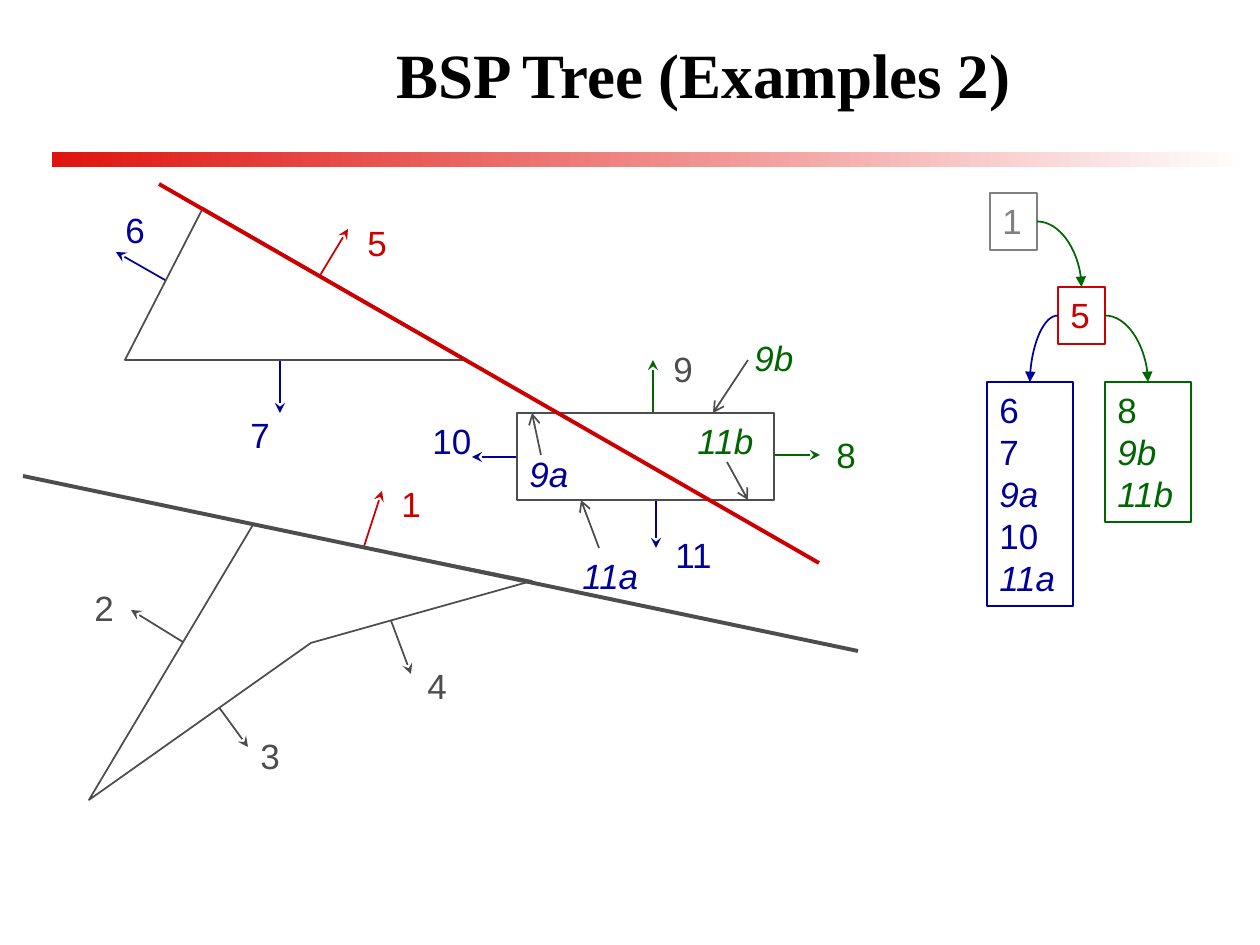
import pptx
import pptx.dml.color
import pptx.enum.shapes
import pptx.enum.text
import pptx.oxml
import pptx.oxml.ns
import pptx.util

RGBColor = pptx.dml.color.RGBColor
RED = RGBColor(0xCC, 0x00, 0x00)
BLUE = RGBColor(0x00, 0x00, 0x99)
GREEN = RGBColor(0x00, 0x66, 0x00)
DARK = RGBColor(0x4D, 0x4D, 0x4D)
GREY = RGBColor(0x80, 0x80, 0x80)
BAR_RED = RGBColor(0xDF, 0x14, 0x0F)
WHITE = RGBColor(0xFF, 0xFF, 0xFF)
BLACK = RGBColor(0x00, 0x00, 0x00)

CONNECTOR = pptx.enum.shapes.MSO_CONNECTOR
RECTANGLE = pptx.enum.shapes.MSO_SHAPE.RECTANGLE
ALIGN = pptx.enum.text.PP_ALIGN
SCALE = 914400 / 126  # EMU per px


def px(*lengths):
    return [round(length * SCALE) for length in lengths]


def draw_line(start, end, color, weight=1, arrow=None, kind=CONNECTOR.STRAIGHT):
    line = shapes.add_connector(kind, *px(*start, *end))
    line.line.color.rgb = color
    line.line.width = pptx.util.Pt(weight)
    if arrow:
        tail = pptx.oxml.ns.qn("a:tailEnd")
        line.line._get_or_add_ln().append(pptx.oxml.xmlchemy.OxmlElement("a:tailEnd"))
        line.line._get_or_add_ln().find(tail).set("type", arrow)
    line._element.spPr.append(pptx.oxml.xmlchemy.OxmlElement("a:effectLst"))
    return line


deck = pptx.Presentation()
deck.slide_width, deck.slide_height = px(1260, 945)
slide = deck.slides.add_slide(deck.slide_layouts[5])
shapes = slide.shapes

# Title
title = shapes.title
title.left, title.top, title.width, title.height = px(147, 21, 1113, 105)
title.text_frame.text = "BSP Tree (Examples 2)"
title.text_frame.vertical_anchor = pptx.enum.text.MSO_ANCHOR.MIDDLE
heading = title.text_frame.paragraphs[0]
heading.alignment = ALIGN.CENTER
title_format = {"name": "Times New Roman", "size": pptx.util.Pt(36), "bold": True}
for attribute, value in title_format.items():
    setattr(heading.font, attribute, value)
heading.font.color.rgb = BLACK

# Fading bar under the title, in two overlapping strips
for top in (152, 157):
    strip = shapes.add_shape(RECTANGLE, *px(52, top, 1197, 10))
    strip.shadow.inherit = False
    strip.line.fill.background()
    strip.fill.gradient()
    strip.fill.gradient_angle = 0
    for stop, color in zip(strip.fill.gradient_stops, (BAR_RED, WHITE)):
        stop.color.rgb = color

# Face normals: start, end, arrow colour
normals = [
    ((202, 684), (248, 747), DARK),
    ((387, 610), (411, 674), DARK),
    ((359, 562), (382, 491), RED),
    ((204, 655), (131, 610), DARK),
    ((653, 431), (653, 360), GREEN),
    ((748, 455), (820, 455), GREEN),
    ((656, 476), (656, 548), BLUE),
    ((541, 457), (472, 457), BLUE),
    ((307, 297), (348, 229), RED),
    ((193, 296), (116, 252), BLUE),
    ((280, 340), (280, 413), BLUE),
]
for start, end, color in normals:
    draw_line(start, end, color, arrow="stealth")

# Polygons cover the inner ends of the normals
polygons = [
    [(253, 525), (89, 800), (311, 643), (532, 581)],
    [(203, 208), (125, 360), (467, 360)],
]
outlines = [shapes.add_shape(RECTANGLE, *px(517, 413, 257, 87))]
for corners in polygons:
    builder = shapes.build_freeform(*px(*corners[0]), scale=1.0)
    builder.add_line_segments([px(*corner) for corner in corners[1:]], close=True)
    outlines.append(builder.convert_to_shape())
for outline in outlines:
    outline.shadow.inherit = False
    outline.fill.solid()
    outline.fill.fore_color.rgb = WHITE
    outline.line.color.rgb = DARK
    outline.line.width = pptx.util.Pt(1)

# Splitting planes
draw_line((159, 184), (819, 563), RED, weight=2.25)
draw_line((23, 476), (858, 651), DARK, weight=2.25)

# Pointers to the split faces 9b, 9a, 11a and 11b
for start, end in [((748, 360), (713, 413)), ((541, 455), (532, 413)),
                   ((599, 548), (581, 500)), ((727, 462), (748, 500))]:
    draw_line(start, end, DARK, arrow="arrow")

# Face labels: text, left, top, colour
labels = [
    ("3", 248, 728, DARK), ("4", 415, 658, DARK), ("1", 389, 476, RED),
    ("2", 82, 580, DARK), ("9", 661, 341, DARK), ("8", 824, 427, GREEN),
    ("11", 663, 527, BLUE), ("10", 420, 413, BLUE), ("5", 355, 215, RED),
    ("6", 113, 202, BLUE), ("7", 238, 407, BLUE), ("9b", 742, 330, GREEN),
    ("9a", 517, 446, BLUE), ("11a", 570, 548, BLUE), ("11b", 685, 413, GREEN),
]
written = []
for text, left, top, color in labels:
    label = shapes.add_textbox(*px(left, top, 26 + 19 * len(text), 54))
    written.append((label, [text], color))

# Tree nodes: faces, left, top, width, height, colour
nodes = [
    (["1"], 990, 193, 47, 57, GREY),
    (["5"], 1058, 287, 47, 57, RED),
    (["6", "7", "9a", "10", "11a"], 987, 382, 86, 224, BLUE),
    (["8", "9b", "11b"], 1105, 382, 86, 140, GREEN),
]
tree = []
for faces, left, top, width, height, color in nodes:
    node = shapes.add_shape(RECTANGLE, *px(left, top, width, height))
    node.shadow.inherit = False
    node.fill.background()
    node.line.color.rgb = color
    node.line.width = pptx.util.Pt(1)
    tree.append(node)
    written.append((node, faces, color))

# Text of labels and nodes; split faces are italic
frame_format = {"word_wrap": False,
                "auto_size": pptx.enum.text.MSO_AUTO_SIZE.SHAPE_TO_FIT_TEXT,
                "vertical_anchor": pptx.enum.text.MSO_ANCHOR.TOP}
for holder, faces, color in written:
    frame = holder.text_frame
    for attribute, value in frame_format.items():
        setattr(frame, attribute, value)
    frame.text = "\n".join(faces)
    for paragraph, face in zip(frame.paragraphs, faces):
        paragraph.alignment = ALIGN.LEFT
        font_format = {"name": "Arial", "size": pptx.util.Pt(20),
                       "italic": not face.isdigit()}
        for attribute, value in font_format.items():
            setattr(paragraph.font, attribute, value)
        paragraph.font.color.rgb = color

# Tree branches: parent, side it leaves from, child, colour
root, split, back, front = tree
for parent, side, child, color in [(root, 3, split, GREEN), (split, 1, back, BLUE),
                                   (split, 3, front, GREEN)]:
    branch = draw_line((0, 0), (1, 1), color, arrow="triangle", kind=CONNECTOR.CURVE)
    branch._element.spPr.prstGeom.set("prst", "curvedConnector2")
    branch.begin_connect(parent, side)
    branch.end_connect(child, 0)

deck.save("out.pptx")
